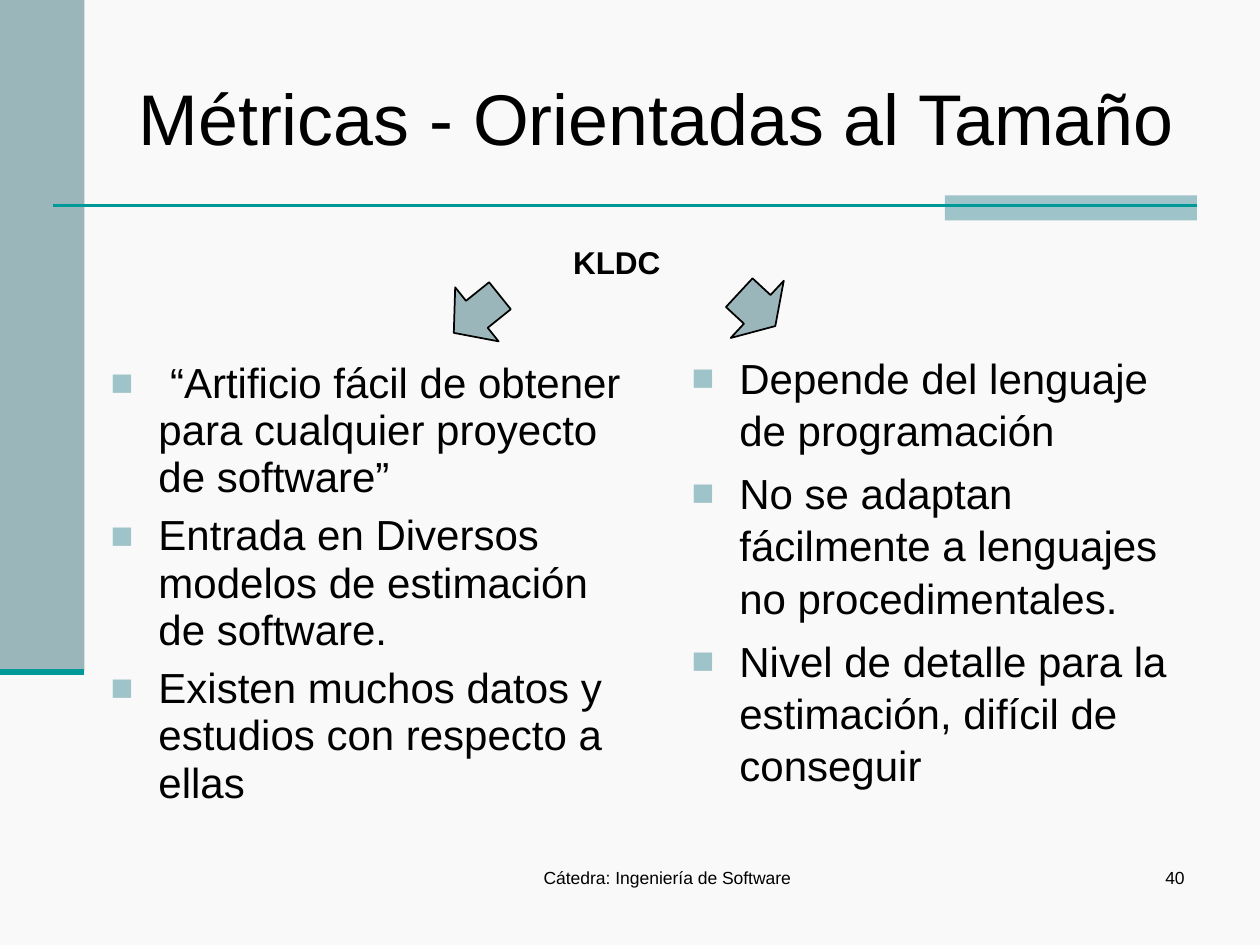
from lxml import etree
from pptx import Presentation
from pptx.dml.color import RGBColor
from pptx.enum.shapes import MSO_CONNECTOR, MSO_SHAPE
from pptx.enum.text import MSO_ANCHOR, PP_ALIGN
from pptx.oxml.ns import qn
from pptx.util import Inches, Pt

RECTANGLE, DOWN_ARROW = MSO_SHAPE.RECTANGLE, MSO_SHAPE.DOWN_ARROW
STRAIGHT = MSO_CONNECTOR.STRAIGHT
LEFT, CENTER, RIGHT = PP_ALIGN.LEFT, PP_ALIGN.CENTER, PP_ALIGN.RIGHT
TOP, MIDDLE = MSO_ANCHOR.TOP, MSO_ANCHOR.MIDDLE

FONT = "Arial"
COLORS = {
    "background": "F9F9F9",
    "band": "9BB6BB",
    "accent": "9EC3C8",
    "rule": "009999",
    "text": "000000",
}
ADVANTAGES = [
    [(" ", True), ("“Artificio fácil de obtener para cualquier proyecto de software”", False)],
    [("Entrada en Diversos modelos de estimación de software.", False)],
    [("Existen muchos datos y estudios con respecto a ellas", False)],
]
DRAWBACKS = [
    [("Depende del lenguaje de programación", False)],
    [("No se adaptan fácilmente a lenguajes no procedimentales.", False)],
    [("Nivel de detalle para la estimación, difícil de conseguir", False)],
]


def color(name):
    """Return the palette colour of that name."""
    return RGBColor.from_string(COLORS[name])


def inches(box):
    """Turn a tuple of numbers into lengths."""
    return [Inches(value) for value in box]


def add_run(paragraph, text, size, bold=False, italic=False):
    """Append one formatted run."""
    run = paragraph.add_run()
    run.text = text
    run.font.name = FONT
    run.font.size = Pt(size)
    run.font.bold = bold
    run.font.italic = italic
    run.font.color.rgb = color("text")


def add_block(slide, box, kind, fill):
    """Add a flat filled shape without outline."""
    block = slide.shapes.add_shape(kind, *inches(box))
    block.shadow.inherit = False
    block.fill.solid()
    block.fill.fore_color.rgb = color(fill)
    block.line.fill.background()
    return block


def add_rule(slide, ends, width):
    """Add a straight rule without shadow."""
    rule = slide.shapes.add_connector(STRAIGHT, *inches(ends))
    rule.line.color.rgb = color("rule")
    rule.line.width = Pt(width)
    etree.SubElement(rule._element.spPr, qn("a:effectLst"))


def add_decoration(slide):
    """Draw the side band, the title accent and their rules."""
    add_block(slide, (0, 0, 0.67, 5.33), RECTANGLE, "band")
    add_block(slide, (7.5, 1.55, 2, 0.2), RECTANGLE, "accent")
    add_rule(slide, (0.42, 1.63, 9.5, 1.63), 1.5)
    add_rule(slide, (0, 5.33, 0.67, 5.33), 3.5)


def set_title(slide, box, text):
    """Place and format the title placeholder."""
    title = slide.shapes.title
    title.left, title.top, title.width, title.height = inches(box)
    frame = title.text_frame
    frame.vertical_anchor = MIDDLE
    frame.word_wrap = True
    frame.paragraphs[0].alignment = LEFT
    add_run(frame.paragraphs[0], text, 41)


def add_text_frame(slide, box):
    """Add a wrapping text box and return its frame."""
    frame = slide.shapes.add_textbox(*inches(box)).text_frame
    frame.word_wrap = True
    frame.vertical_anchor = TOP
    return frame


def add_label(slide, box, text, size, alignment=LEFT, bold=False):
    """Add a one-line label."""
    paragraph = add_text_frame(slide, box).paragraphs[0]
    paragraph.alignment = alignment
    add_run(paragraph, text, size, bold)


def add_bullet(paragraph):
    """Give a paragraph a square bullet with a hanging indent."""
    properties = paragraph._p.get_or_add_pPr()
    properties.set("marL", str(Inches(0.38)))
    properties.set("indent", str(Inches(-0.38)))
    bullet_color = etree.SubElement(properties, qn("a:buClr"))
    etree.SubElement(bullet_color, qn("a:srgbClr"), val=COLORS["accent"])
    etree.SubElement(properties, qn("a:buSzPct"), val="90000")
    etree.SubElement(properties, qn("a:buFont"), typeface=FONT)
    etree.SubElement(properties, qn("a:buChar"), char="■")


def add_bullet_list(slide, box, items, line_spacing):
    """Add a bulleted column; each item is a list of text and emphasis pairs."""
    frame = add_text_frame(slide, box)
    for index, item in enumerate(items):
        paragraph = frame.add_paragraph() if index else frame.paragraphs[0]
        paragraph.alignment = LEFT
        paragraph.line_spacing = line_spacing
        paragraph.space_before = Pt(6)
        add_bullet(paragraph)
        for text, emphasis in item:
            add_run(paragraph, text, 24, emphasis, emphasis)


def add_arrow(slide, box, rotation):
    """Add an outlined arrow turned towards its column."""
    arrow = add_block(slide, box, DOWN_ARROW, "band")
    arrow.rotation = rotation
    arrow.line.color.rgb = color("text")
    arrow.line.width = Pt(1)


def main():
    """Build and save the slide."""
    deck = Presentation()
    deck.slide_width, deck.slide_height = Inches(10), Inches(7.5)
    slide = deck.slides.add_slide(deck.slide_layouts[5])
    slide.background.fill.solid()
    slide.background.fill.fore_color.rgb = color("background")

    add_decoration(slide)
    set_title(slide, (1, 0.3, 8.5, 1.25), "Métricas - Orientadas al Tamaño")
    add_bullet_list(slide, (0.78, 2.81, 4.3, 3.83), ADVANTAGES, 0.94)
    add_label(slide, (3.67, 6.83, 3.25, 0.5), "Cátedra: Ingeniería de Software", 10, CENTER)
    add_label(slide, (7.42, 6.83, 2.08, 0.5), "40", 10, RIGHT)
    add_bullet_list(slide, (5.39, 2.73, 4.14, 3.67), DRAWBACKS, 1.04)
    add_label(slide, (4.45, 1.88, 0.94, 0.4), "KLDC", 18, bold=True)
    add_arrow(slide, (3.51, 2.26, 0.55, 0.47), 51.2)
    add_arrow(slide, (5.7, 2.26, 0.62, 0.39), 312.8)
    deck.save("out.pptx")


if __name__ == "__main__":
    main()
